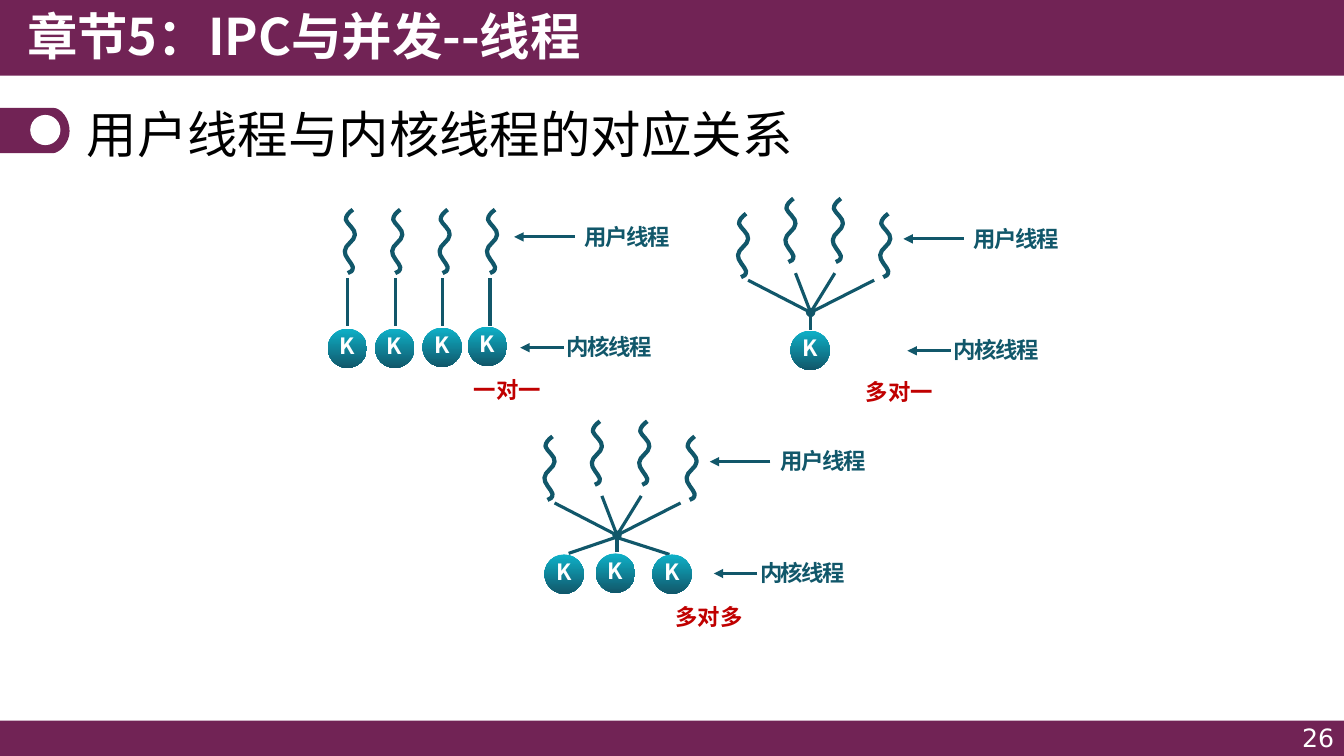
import pptx
import pptx.util
import pptx.dml.color
import pptx.enum.shapes
import pptx.enum.text
import lxml.etree
from dataclasses import dataclass

Inches = pptx.util.Inches
Shape = pptx.enum.shapes.MSO_SHAPE
Align = pptx.enum.text.PP_ALIGN
Anchor = pptx.enum.text.MSO_ANCHOR


@dataclass(frozen=True)
class Theme:
    plum: str = "712355"
    white: str = "FFFFFF"
    black: str = "000000"
    teal: str = "11576A"
    cyan: str = "0EB1C8"
    red: str = "C00000"
    sans: str = "Noto Sans CJK SC"
    digit: str = "DejaVu Sans"
    head: int = 36
    page: int = 18
    label: int = 16
    wave: float = 3
    line: float = 2.25


theme = Theme()

HEAD = "章节5：IPC与并发--线程"
TITLE = "用户线程与内核线程的对应关系"
PAGE = "26"
USER, KERNEL = "用户线程", "内核线程"

STEP = 0.47
FLAT, ARCH = [0, 0, 0, 0], [0.15, 0, 0, 0.15]
HUB = (0.73, 1.13)
SPOKES = [(0.11, 0.81), (0.58, 0.74), (0.97, 0.74), (1.36, 0.81)]
STEMS = [((0.04 + STEP * i, 1.15), (0.04 + STEP * i, 0.68)) for i in range(4)]
FAN = [(HUB, end) for end in SPOKES]
ARMS = [((0.72, 1.15), (0.25, 1.31)), ((0.72, 1.15), (1.25, 1.32))]

PANELS = [
    dict(name="一对一", at=(3.41, 2.08), rise=FLAT, lines=STEMS, hub=False,
         cores=[(-0.16, 1.18), (0.31, 1.18), (0.78, 1.17), (1.23, 1.16)],
         user=(2.29, 0.08), kernel=(2.11, 1.18), tag=(1.19, 1.6)),
    dict(name="多对一", at=(7.31, 1.97), rise=ARCH, lines=FAN, hub=True,
         cores=[(0.53, 1.31)],
         user=(2.25, 0.21), kernel=(2.05, 1.32), tag=(1.18, 1.73)),
    dict(name="多对多", at=(5.39, 4.18), rise=ARCH, lines=FAN + ARMS, hub=True,
         cores=[(0.01, 1.32), (0.52, 1.31), (1.08, 1.32)],
         user=(2.25, 0.21), kernel=(2.05, 1.32), tag=(1.21, 1.75)),
]

WAVE = [[(0.09, 0)],
        [(0.05, 0.03), (0.02, 0.06), (0.02, 0.1)],
        [(0.03, 0.14), (0.12, 0.2), (0.11, 0.25)],
        [(0.11, 0.31), (0.01, 0.35), (0.01, 0.41)],
        [(0, 0.46), (0.08, 0.53), (0.09, 0.57)],
        [(0.09, 0.61), (0.07, 0.62), (0.04, 0.63)]]
TAB = [[(0, 0)],
       [(0.53, 0)],
       [(0.6, 0), (0.69, 0.1), (0.69, 0.23)],
       [(0.69, 0.35), (0.59, 0.45), (0.52, 0.45)],
       [(0, 0.45)]]

deck = pptx.Presentation()
deck.slide_width, deck.slide_height = Inches(13.33), Inches(7.5)
slide = deck.slides.add_slide(deck.slide_layouts[5])
shapes = slide.shapes


def rgb(code):
    return pptx.dml.color.RGBColor.from_string(code)


def node(parent, tag, **attrs):
    return lxml.etree.SubElement(parent, pptx.oxml.ns.qn(tag), attrs)


def add(a, b):
    return a[0] + b[0], a[1] + b[1]


def write(frame, text, size, color, bold=False, face=theme.sans,
          align=Align.LEFT, anchor=Anchor.TOP, wrap=False, space=0):
    frame.word_wrap = wrap
    frame.auto_size = pptx.enum.text.MSO_AUTO_SIZE.NONE
    frame.vertical_anchor = anchor
    frame.text = text
    para = frame.paragraphs[0]
    para.alignment = align
    font = para.font
    font.size, font.bold, font.name = pptx.util.Pt(size), bold, face
    font.color.rgb = rgb(color)
    node(font._rPr, "a:ea", typeface=face)
    if space:
        font._rPr.set("spc", str(space))


def label(text, box, *style, **more):
    write(shapes.add_textbox(*map(Inches, box)).text_frame, text, *style, **more)


def solid(kind, box, color):
    shape = shapes.add_shape(kind, *map(Inches, box))
    shape.shadow.inherit = False
    shape.line.fill.background()
    shape.fill.solid()
    shape.fill.fore_color.rgb = rgb(color)
    return shape


def outline(at, parts, close):
    dots = [tuple(map(Inches, add(at, dot))) for part in parts for dot in part]
    pen = shapes.build_freeform(*dots[0])
    pen.add_line_segments(dots[1:], close=close)
    shape = pen.convert_to_shape()
    shape.shadow.inherit = False
    legs = iter(list(shape._element.iter(pptx.oxml.ns.qn("a:lnTo"))))
    for part in parts[1:]:
        first, *rest = [next(legs) for _ in part]
        if rest:
            first.tag = pptx.oxml.ns.qn("a:cubicBezTo")
        for leg in rest:
            first.append(leg[0])
            leg.getparent().remove(leg)
    return shape


def wave(at):
    shape = outline(at, WAVE, False)
    shape.fill.background()
    shape.line.color.rgb = rgb(theme.teal)
    shape.line.width = pptx.util.Pt(theme.wave)


def link(start, end, tip=None):
    line = shapes.add_connector(pptx.enum.shapes.MSO_CONNECTOR.STRAIGHT,
                                *map(Inches, start + end))
    line.line.color.rgb = rgb(theme.teal)
    line.line.width = pptx.util.Pt(theme.line)
    if tip:
        node(line.line._get_or_add_ln(), "a:tailEnd", type=tip)
    node(line._element.spPr, "a:effectLst")


def core(at):
    ball = solid(Shape.OVAL, at + (0.39, 0.39), theme.teal)
    ball.fill.gradient()
    ball.fill.gradient_angle = 270
    for stop, color in zip(ball.fill.gradient_stops, (theme.cyan, theme.teal)):
        stop.color.rgb = rgb(color)
    label("K", add(at, (0.02, -0.01)) + (0.36, 0.37), theme.label, theme.white, True)


def note(text, at, head, tail):
    label(text, at + (1.04, 0.37), theme.label, theme.teal, True, space=-100)
    link(add(at, (tail, 0.19)), add(at, (head, 0.19)), "triangle")


def panel(data):
    at = data["at"]
    for i, drop in enumerate(data["rise"]):
        wave(add(at, (STEP * i, drop)))
    for start, end in data["lines"]:
        link(add(at, start), add(at, end))
    if data["hub"]:
        link(add(at, (HUB[0], 1.3)), add(at, HUB), "oval")
    for spot in data["cores"]:
        core(add(at, spot))
    note(USER, add(at, data["user"]), -0.6, 0)
    note(KERNEL, add(at, data["kernel"]), -0.36, 0.07)
    label(data["name"], add(at, data["tag"]) + (0.88, 0.37),
          theme.label, theme.red, True)


solid(Shape.RECTANGLE, (0, 7.15, 13.33, 0.36), theme.plum)
solid(Shape.RECTANGLE, (0, 0, 13.33, 0.75), theme.plum)
tab = outline((0, 1.07), TAB, True)
tab.fill.solid()
tab.fill.fore_color.rgb = rgb(theme.plum)
tab.line.fill.background()
solid(Shape.OVAL, (0.3, 1.14, 0.3, 0.3), theme.white)
label(HEAD, (0.17, 0, 6.67, 0.77), theme.head, theme.white, True, wrap=True)

title = shapes.title
title.left, title.top, title.width, title.height = map(Inches, (0.76, 0.95, 11.81, 0.74))
write(title.text_frame, TITLE, theme.head, theme.black, anchor=Anchor.MIDDLE, wrap=True)

for data in PANELS:
    panel(data)
label(PAGE, (10.22, 7.12, 3.11, 0.33), theme.page, theme.white,
      face=theme.digit, align=Align.RIGHT, wrap=True)

deck.save("out.pptx")
